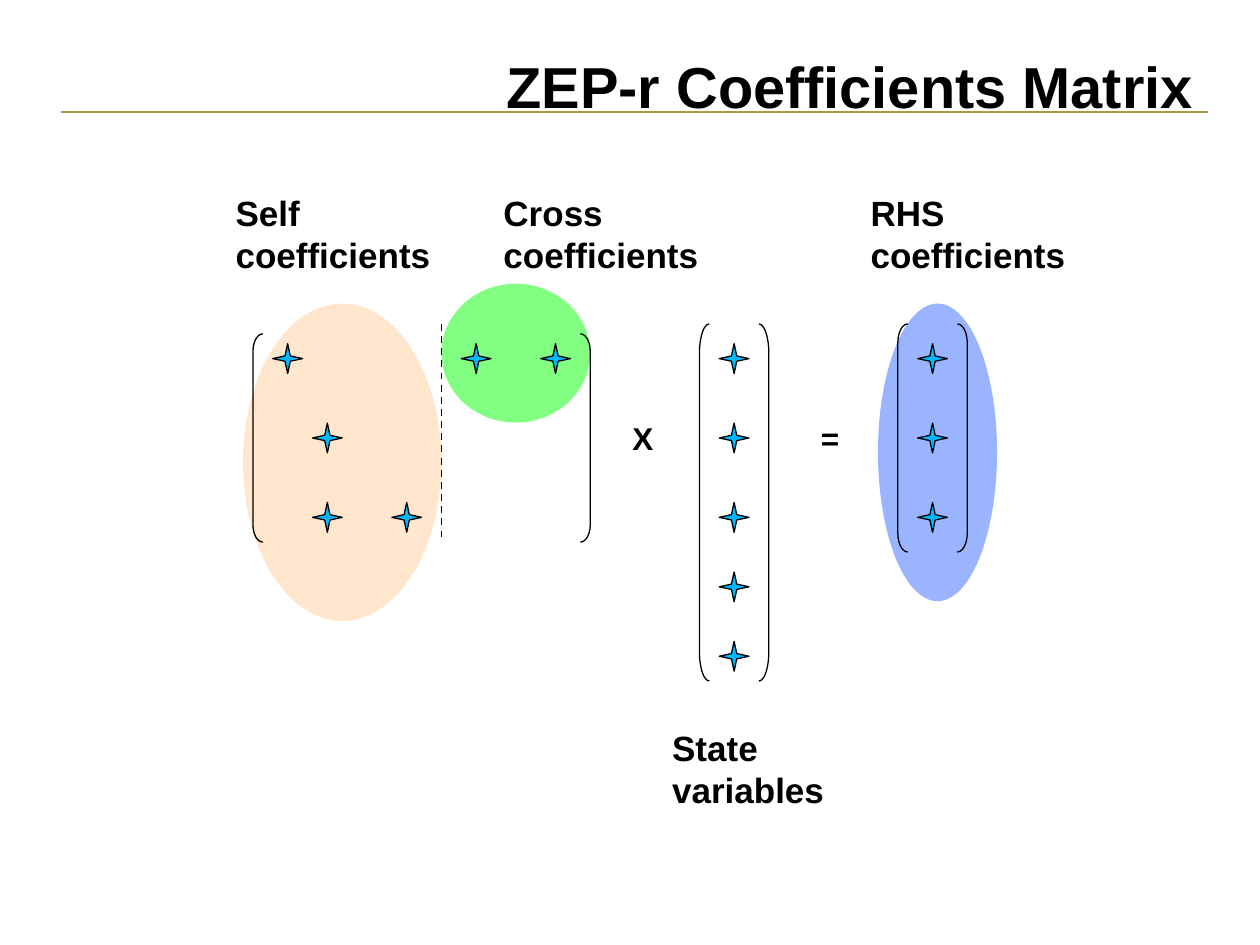
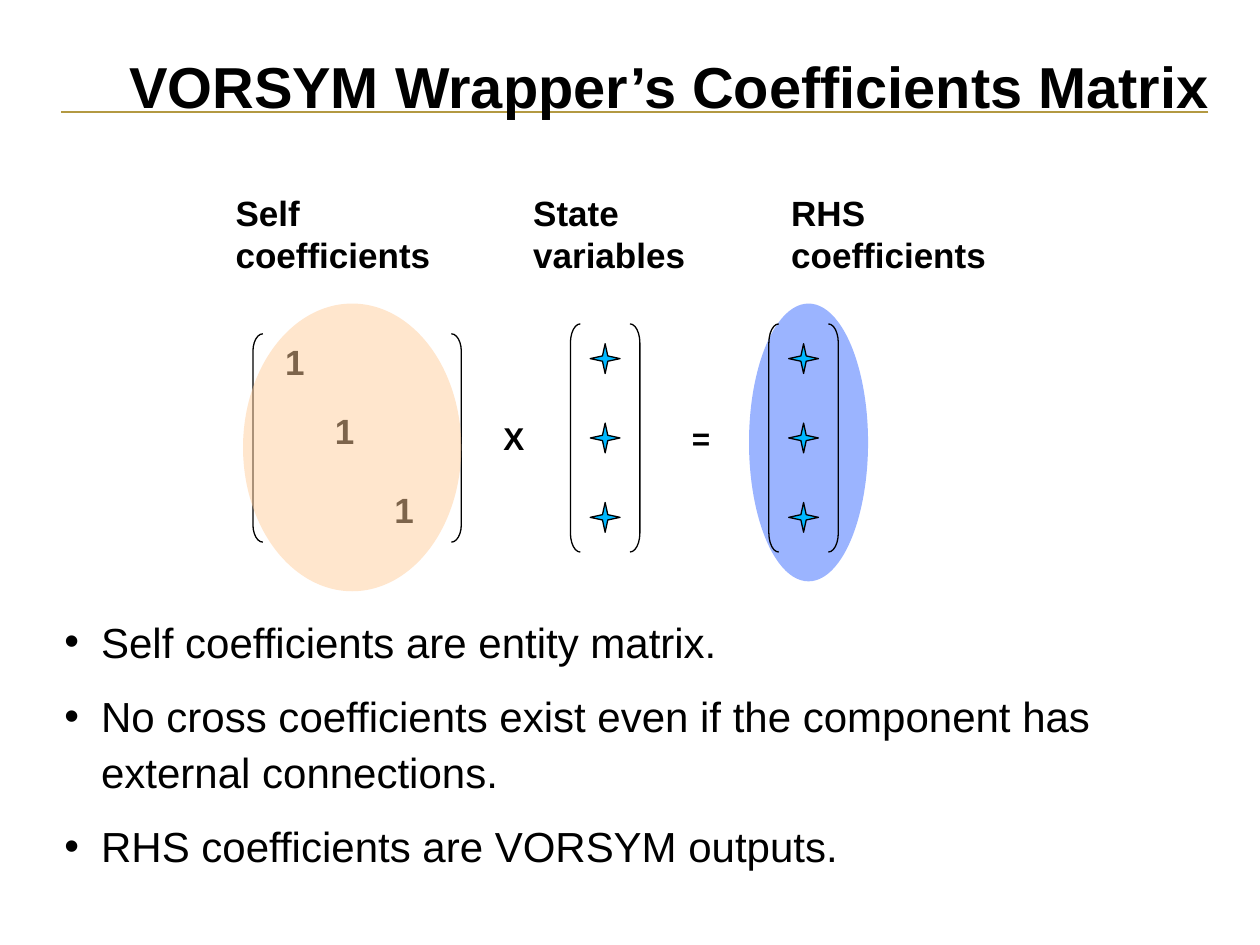
from dataclasses import dataclass

from lxml import etree
from pptx import Presentation
from pptx.dml.color import RGBColor
from pptx.enum.dml import MSO_LINE
from pptx.enum.shapes import MSO_CONNECTOR, MSO_SHAPE
from pptx.enum.text import MSO_ANCHOR, MSO_AUTO_SIZE, PP_ALIGN
from pptx.oxml.ns import qn
from pptx.util import Cm, Pt

OVAL, STAR = MSO_SHAPE.OVAL, MSO_SHAPE.STAR_4_POINT
OPEN, CLOSE = MSO_SHAPE.LEFT_BRACKET, MSO_SHAPE.RIGHT_BRACKET
STRAIGHT, DASH = MSO_CONNECTOR.STRAIGHT, MSO_LINE.DASH
RIGHT, MIDDLE = PP_ALIGN.RIGHT, MSO_ANCHOR.MIDDLE
GROW = MSO_AUTO_SIZE.SHAPE_TO_FIT_TEXT


@dataclass(frozen=True)
class Theme:
    font: str = "Arial"
    ink: str = "000000"
    rule: str = "B39942"
    star: str = "00B8FF"
    self: str = "FFCC99"
    cross: str = "00FF00"
    rhs: str = "3366FF"
    alpha: int = 49
    title: int = 33
    body: int = 24
    label: int = 20
    sign: int = 18
    thin: float = 0.75


THEME = Theme()

# Lengths in centimetres
SIZE = 0.6                          # star
HOOK = 0.2                          # bracket width
ROWS = (6.93, 8.53, 10.13, 11.53, 12.93)
SELF_LEFT, SELF_TOP, SELF_HIGH = 5.1, 6.73, 4.2
VEC_TOP, VEC_WIDE, VEC_HIGH = 6.53, 1.4, 4.6
LABEL_TOP, OVAL_TOP = 3.73, 6.12


@dataclass(frozen=True)
class Box:
    left: float
    top: float
    wide: float
    high: float

    def lengths(self) -> tuple:
        return Cm(self.left), Cm(self.top), Cm(self.wide), Cm(self.high)


@dataclass(frozen=True)
class Blob:
    box: Box
    fill: str


@dataclass(frozen=True)
class Note:
    text: str
    box: Box
    size: int


@dataclass(frozen=True)
class Vector:
    left: float
    count: int = 3
    high: float = VEC_HIGH


def label(text: str, left: float, wide: float = 5.4, top: float = LABEL_TOP) -> Note:
    return Note(text, Box(left, top, wide, 1.96), THEME.label)


def sign(text: str, left: float) -> Note:
    return Note(text, Box(left, 8.33, 1.2, 1.02), THEME.sign)


def one(left: float, top: float) -> Note:
    return Note("1", Box(left, top, 1.0, 1.12), THEME.label)


# Basic drawing
def draw_shape(slide, kind, box: Box, fill: str = "", line: bool = True):
    shape = slide.shapes.add_shape(kind, *box.lengths())
    shape.shadow.inherit = False
    if fill:
        shape.fill.solid()
        shape.fill.fore_color.rgb = RGBColor.from_string(fill)
    else:
        shape.fill.background()
    if line:
        shape.line.color.rgb = RGBColor.from_string(THEME.ink)
        shape.line.width = Pt(THEME.thin)
    else:
        shape.line.fill.background()
    return shape


def draw_line(slide, start: tuple, end: tuple, color: str, width: float):
    line = slide.shapes.add_connector(STRAIGHT, *map(Cm, start + end))
    line.line.color.rgb = RGBColor.from_string(color)
    line.line.width = Pt(width)
    etree.SubElement(line._element.spPr, qn("a:effectLst"))
    return line


def draw_text(slide, text: str, box: Box, size: int, bold: bool = True, inset: bool = True):
    frame = slide.shapes.add_textbox(*box.lengths()).text_frame
    frame.word_wrap = True
    if not inset:
        frame.margin_left = frame.margin_right = 0
        frame.margin_top = frame.margin_bottom = 0
    frame.text = text
    for para in frame.paragraphs:
        for run in para.runs:
            run.font.name = THEME.font
            run.font.size = Pt(size)
            run.font.bold = bold
            run.font.color.rgb = RGBColor.from_string(THEME.ink)
    return frame


# Parts of the equation
def draw_blob(slide, blob: Blob) -> None:
    shape = draw_shape(slide, OVAL, blob.box, blob.fill, line=False)
    color = shape._element.spPr.find(qn("a:solidFill"))[0]
    etree.SubElement(color, qn("a:alpha"), val=str(THEME.alpha * 1000))


def draw_star(slide, left: float, top: float) -> None:
    draw_shape(slide, STAR, Box(left, top, SIZE, SIZE), THEME.star)


def draw_hooks(slide, box: Box) -> None:
    far = box.left + box.wide - HOOK
    for kind, left in ((OPEN, box.left), (CLOSE, far)):
        hook = draw_shape(slide, kind, Box(left, box.top, HOOK, box.high))
        hook.adjustments[0] = box.high / 12 / HOOK


def draw_vector(slide, vector: Vector) -> None:
    draw_hooks(slide, Box(vector.left, VEC_TOP, VEC_WIDE, vector.high))
    for top in ROWS[:vector.count]:
        draw_star(slide, vector.left + (VEC_WIDE - SIZE) / 2, top)


def draw_note(slide, note: Note) -> None:
    frame = draw_text(slide, note.text, note.box, note.size)
    frame.auto_size = GROW
    frame.paragraphs[0].space_before = Pt(note.size * 0.625)


def draw_list(slide, items: tuple, box: Box) -> None:
    frame = draw_text(slide, "\n".join(items), box, THEME.body, bold=False, inset=False)
    for para in frame.paragraphs:
        para.line_spacing = 1.1
        para.space_before = Pt(11)
        props = para._p.get_or_add_pPr()
        props.set("marL", str(Cm(0.74)))
        props.set("indent", str(Cm(-0.74)))
        etree.SubElement(props, qn("a:buFont"), typeface=THEME.font)
        etree.SubElement(props, qn("a:buChar"), char="•")


def add_page(deck, title: str):
    slide = deck.slides.add_slide(deck.slide_layouts[6])
    draw_line(slide, (24.36, 2.26), (1.22, 2.26), THEME.rule, 1.5)
    box = Box(1.27, 1.19, 23.11, 1.24)
    frame = draw_text(slide, title, box, THEME.title, inset=False)
    frame.vertical_anchor = MIDDLE
    frame.paragraphs[0].alignment = RIGHT
    frame.paragraphs[0].line_spacing = 0.9
    return slide


# Slide 1: self and cross terms
def build_full(deck) -> None:
    slide = add_page(deck, "ZEP-r Coefficients Matrix ")
    for blob in (
        Blob(Box(4.9, OVAL_TOP, 4.0, 6.4), THEME.self),
        Blob(Box(8.9, 5.72, 3.0, 2.8), THEME.cross),
        Blob(Box(17.7, OVAL_TOP, 2.4, 6.0), THEME.rhs),
    ):
        draw_blob(slide, blob)

    draw_hooks(slide, Box(SELF_LEFT, SELF_TOP, 6.8, SELF_HIGH))
    for left, row in ((5.5, 0), (6.3, 1), (6.3, 2), (7.9, 2), (9.3, 0), (10.9, 0)):
        draw_star(slide, left, ROWS[row])
    split = draw_line(slide, (8.9, VEC_TOP), (8.9, 10.93), THEME.ink, 1)
    split.line.dash_style = DASH

    for vector in (Vector(14.1, 5, 7.2), Vector(18.1)):
        draw_vector(slide, vector)
    for note in (
        sign("X", 12.5),
        sign("=", 16.3),
        label("Self coefficients", 4.5),
        label("Cross coefficients", 9.9),
        label("RHS coefficients", 17.3),
        label("State variables", 13.3, 4.6, 14.53),
    ):
        draw_note(slide, note)


# Slide 2: unit matrix
def build_unit(deck) -> None:
    slide = add_page(deck, "VORSYM Wrapper’s Coefficients Matrix")
    draw_blob(slide, Blob(Box(15.1, OVAL_TOP, 2.4, 5.6), THEME.rhs))
    draw_hooks(slide, Box(SELF_LEFT, SELF_TOP, 4.2, SELF_HIGH))
    for vector in (Vector(11.5), Vector(15.5)):
        draw_vector(slide, vector)
    for note in (
        sign("X", 9.9),
        sign("=", 13.7),
        label("Self coefficients", 4.5),
        label("RHS coefficients", 15.7),
        label("State variables", 10.5, 4.6),
        one(5.5, 6.73),
        one(6.5, 8.13),
        one(7.7, 9.73),
    ):
        draw_note(slide, note)
    # The self oval veils the diagonal
    draw_blob(slide, Blob(Box(4.9, OVAL_TOP, 4.4, 5.8), THEME.self))
    items = (
        "Self coefficients are entity matrix.",
        "No cross coefficients exist even if the component has external connections.",
        "RHS coefficients are VORSYM outputs.",
    )
    draw_list(slide, items, Box(1.3, 12.32, 23.09, 5.79))


def main() -> None:
    deck = Presentation()
    deck.slide_width, deck.slide_height = Cm(25.4), Cm(19.05)
    build_full(deck)
    build_unit(deck)
    deck.save("out.pptx")


if __name__ == "__main__":
    main()
